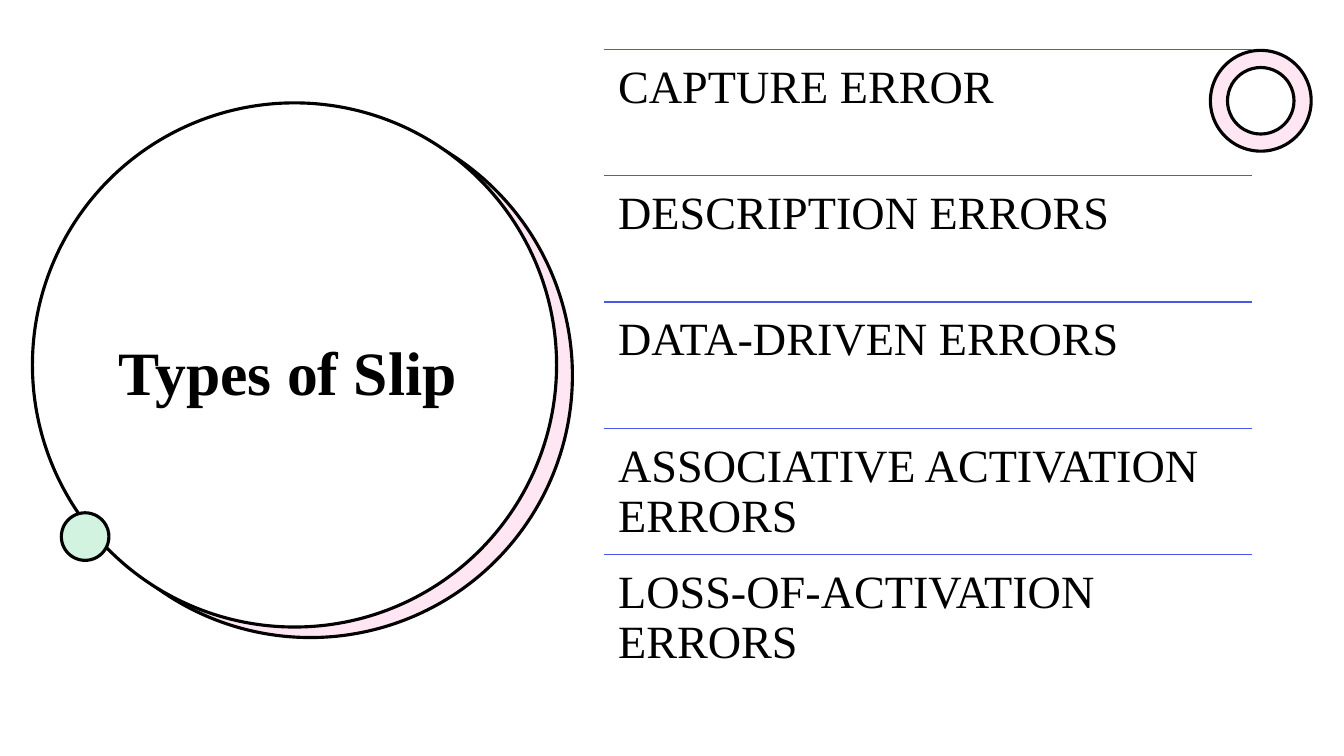
from pptx import Presentation
from pptx.dml.color import RGBColor
from pptx.enum.shapes import MSO_CONNECTOR, MSO_SHAPE
from pptx.enum.text import MSO_ANCHOR, PP_ALIGN
from pptx.oxml.ns import qn
from pptx.util import Pt
from lxml import etree

OVAL, DONUT = MSO_SHAPE.OVAL, MSO_SHAPE.DONUT
STRAIGHT = MSO_CONNECTOR.STRAIGHT
TOP, MIDDLE = MSO_ANCHOR.TOP, MSO_ANCHOR.MIDDLE
LEFT = PP_ALIGN.LEFT

WHITE = RGBColor(0xFF, 0xFF, 0xFF)
BLACK = RGBColor(0x00, 0x00, 0x00)
PINK = RGBColor(0xFF, 0xE6, 0xF2)
GREEN = RGBColor(0xD3, 0xF3, 0xE1)
BLUE = RGBColor(0x4B, 0x56, 0xE8)

FONT = "Times New Roman"
SLIP_TYPES = [
    "CAPTURE ERROR",
    "DESCRIPTION ERRORS",
    "DATA-DRIVEN ERRORS",
    "ASSOCIATIVE ACTIVATION ERRORS",
    "LOSS-OF-ACTIVATION ERRORS",
]
LIST_X, LIST_Y, LIST_W, ROW_H = 431.5, 35.3, 462.7, 90.2


def add_round(slide, kind, x, y, size, color):
    """Add an outlined circle or ring of the given diameter."""
    s = slide.shapes.add_shape(kind, Pt(x), Pt(y), Pt(size), Pt(size))
    s.shadow.inherit = False
    s.fill.solid()
    s.fill.fore_color.rgb = color
    s.line.color.rgb = BLACK
    s.line.width = Pt(2.25)
    return s


def add_rule(slide, x, y, width):
    s = slide.shapes.add_connector(STRAIGHT, Pt(x), Pt(y), Pt(x + width), Pt(y))
    s.line.color.rgb = BLUE
    s.line.width = Pt(1)
    etree.SubElement(s._element.spPr, qn("a:effectLst"))


def add_text(slide, text, box, margins, anchor, size, bold=False):
    """Add a wrapped text box; margins are (horizontal, vertical) points."""
    s = slide.shapes.add_textbox(*[Pt(v) for v in box])
    tf = s.text_frame
    tf.word_wrap = True
    tf.vertical_anchor = anchor
    tf.margin_left = tf.margin_right = Pt(margins[0])
    tf.margin_top = tf.margin_bottom = Pt(margins[1])
    p = tf.paragraphs[0]
    p.alignment = LEFT
    p.line_spacing = 0.9
    r = p.add_run()
    r.text = text
    for name, value in {"name": FONT, "size": Pt(size), "bold": bold}.items():
        setattr(r.font, name, value)
    r.font.color.rgb = BLACK


def main():
    prs = Presentation()
    prs.slide_width, prs.slide_height = Pt(960), Pt(540)
    slide = prs.slides.add_slide(prs.slide_layouts[6])

    add_round(slide, OVAL, 34.5, 81, 374.4, PINK)
    add_round(slide, OVAL, 23.2, 73.5, 374.4, WHITE)
    ring = add_round(slide, DONUT, 864.6, 36, 72, PINK)
    ring.adjustments[0] = 0.17
    add_round(slide, OVAL, 43.8, 366.3, 34, GREEN)

    add_text(slide, "Types of Slip", (77.8, 135.4, 268.6, 265),
             (7.2, 3.6), MIDDLE, 44, bold=True)
    for i, slip in enumerate(SLIP_TYPES):
        y = LIST_Y + i * ROW_H
        add_rule(slide, LIST_X, y, LIST_W)
        add_text(slide, slip, (LIST_X, y, LIST_W, ROW_H), (10, 10), TOP, 33)

    prs.save("out.pptx")


if __name__ == "__main__":
    main()
